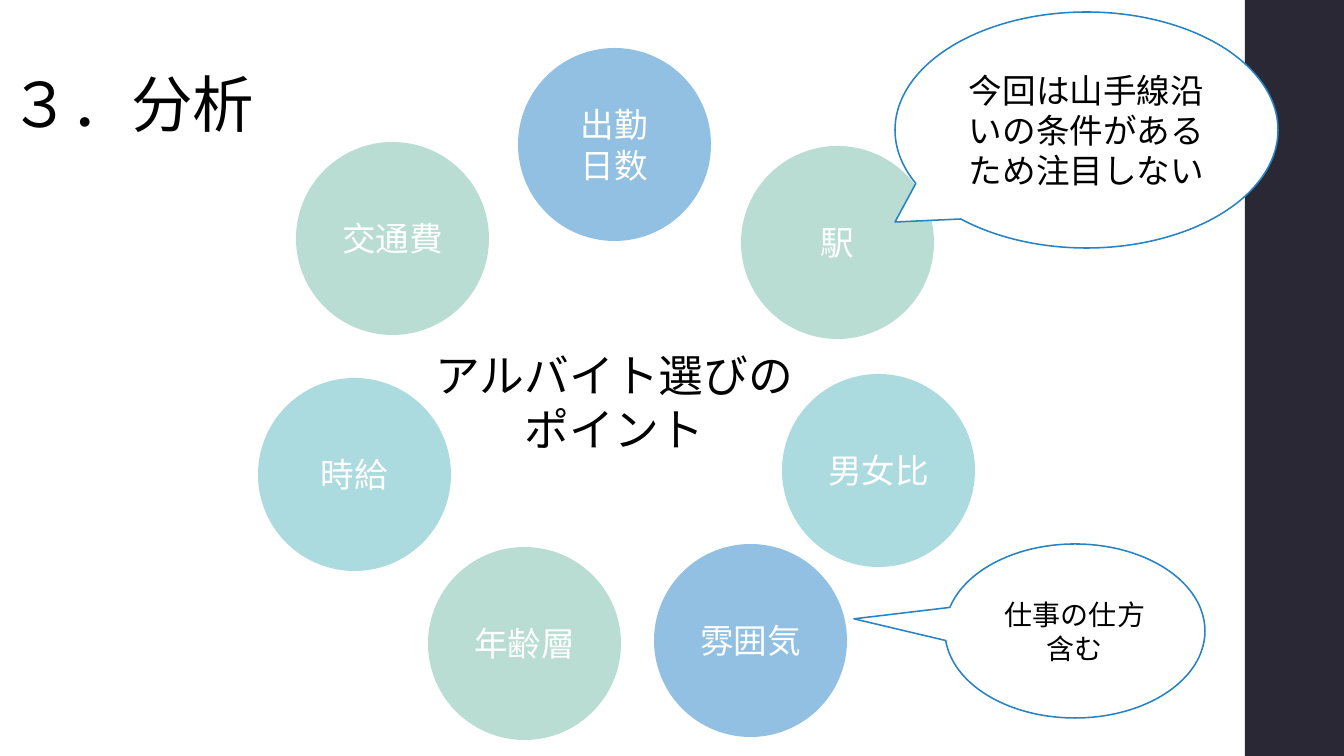
from dataclasses import dataclass

from lxml import etree
from pptx import Presentation
from pptx import util as u
from pptx.dml import color
from pptx.enum import shapes, text
from pptx.oxml import ns

SCALE = 914400 / 100.8


@dataclass(frozen=True)
class Theme:
    font: str = "Cambria"
    ink: str = "000000"
    paper: str = "FFFFFF"
    band: str = "292834"
    blue: str = "2683C6"
    green: str = "75BDA7"
    teal: str = "58B6C0"
    title: int = 44
    center: int = 32
    label: int = 24
    note: int = 20


def px(*sizes):
    return [u.Emu(round(size * SCALE)) for size in sizes]


def rgb(code):
    return color.RGBColor.from_string(code)


class Deck:
    def __init__(self, theme):
        self.theme = theme
        self.deck = Presentation()
        self.deck.slide_width, self.deck.slide_height = px(1344, 756)
        self.slide = self.deck.slides.add_slide(self.deck.slide_layouts[6])

    def letter(self, shape, words, size, ink, align=text.PP_ALIGN.CENTER,
               anchor=text.MSO_ANCHOR.MIDDLE):
        frame = shape.text_frame
        frame.word_wrap = True
        frame.vertical_anchor = anchor
        frame.text = words
        for para in frame.paragraphs:
            para.alignment = align
            para.font.name = self.theme.font
            para.font.size = u.Pt(size)
            para.font.color.rgb = rgb(ink)

    def shape(self, kind, box, fill, line=None, alpha=None):
        item = self.slide.shapes.add_shape(kind, *px(*box))
        item.shadow.inherit = False
        item.fill.solid()
        item.fill.fore_color.rgb = rgb(fill)
        if alpha:
            tint = item.element.spPr.find(".//" + ns.qn("a:srgbClr"))
            etree.SubElement(tint, ns.qn("a:alpha"), val=str(alpha * 1000))
        if line:
            item.line.color.rgb = rgb(line)
            item.line.width = u.Pt(1.1)
        else:
            item.line.fill.background()
        return item

    def band(self, *box):
        self.shape(shapes.MSO_SHAPE.RECTANGLE, box, self.theme.band)

    def label(self, words, box, size, **style):
        item = self.slide.shapes.add_textbox(*px(*box))
        self.letter(item, words, size, self.theme.ink, **style)
        return item

    def title(self, words, box):
        item = self.label(words, box, self.theme.title,
                          align=text.PP_ALIGN.LEFT,
                          anchor=text.MSO_ANCHOR.BOTTOM)
        item.text_frame.paragraphs[0].line_spacing = 0.9
        for font in item.element.iter(ns.qn("a:defRPr")):
            font.set("spc", "-50")

    def circle(self, words, left, top, fill):
        item = self.shape(shapes.MSO_SHAPE.OVAL, (left, top, 193, 193),
                          fill, alpha=50)
        self.letter(item, words, self.theme.label, self.theme.paper)

    def bubble(self, words, box, tip, size):
        item = self.shape(shapes.MSO_SHAPE.OVAL_CALLOUT, box,
                          self.theme.paper, line=self.theme.blue)
        item.adjustments[0], item.adjustments[1] = tip
        self.letter(item, words, size, self.theme.ink)


def main():
    theme = Theme()
    deck = Deck(theme)
    deck.band(1245, 0, 99, 756)
    deck.title("３．分析", (0, 0, 1068, 146))
    deck.label("アルバイト選びの\nポイント", (423, 343, 383, 119), theme.center,
               anchor=text.MSO_ANCHOR.TOP)
    for words, left, top, fill in (
        ("出勤\n日数", 518, 48, theme.blue),
        ("年齢層", 428, 547, theme.green),
        ("雰囲気", 654, 544, theme.blue),
        ("駅", 741, 146, theme.green),
        ("交通費", 296, 142, theme.green),
        ("時給", 258, 378, theme.teal),
        ("男女比", 782, 374, theme.teal),
    ):
        deck.circle(words, left, top, fill)
    deck.bubble("今回は山手線沿いの条件があるため注目しない",
                (895, 12, 383, 236), (-0.5, 0.39), theme.label)
    deck.bubble("仕事の仕方含む", (945, 544, 260, 174), (-0.85, -0.07), theme.note)
    deck.deck.save("out.pptx")


if __name__ == "__main__":
    main()
